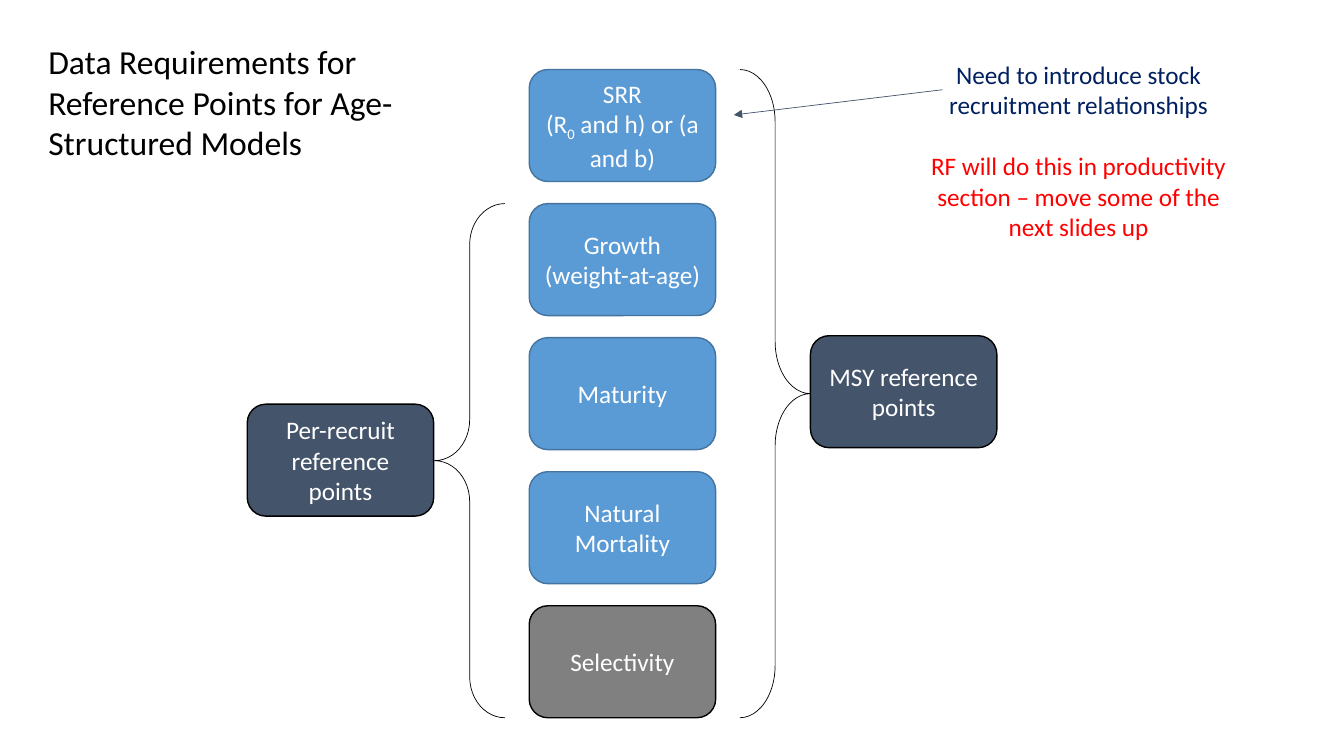
import dataclasses

import lxml.etree
import pptx
import pptx.dml.color
import pptx.enum.shapes
import pptx.enum.text
import pptx.oxml.ns
import pptx.util

Pt = pptx.util.Pt
RGB = pptx.dml.color.RGBColor.from_string
SHAPES = pptx.enum.shapes.MSO_SHAPE
ALIGN = pptx.enum.text.PP_ALIGN
ANCHOR = pptx.enum.text.MSO_ANCHOR
qn = pptx.oxml.ns.qn


@dataclasses.dataclass(frozen=True)
class Theme:
    font: str = "Calibri"
    title_size: int = 24
    body_size: int = 18
    black: str = "000000"
    white: str = "FFFFFF"
    blue: str = "5B9BD5"
    blue_edge: str = "43739E"
    grey: str = "808080"
    slate: str = "44546A"
    navy: str = "002060"
    red: str = "FF0000"


THEME = Theme()
BOX_WIDTH, BOX_HEIGHT = 133.2, 80
STACK_LEFT, STACK_TOP, STACK_PITCH = 378, 49.7, 95.75
BRACE_WIDTH = 50.4


def format_paragraph(paragraph, size, color, align):
    paragraph.alignment = align
    for run in paragraph.runs:
        run.font.name = THEME.font
        run.font.size = Pt(size)
        run.font.color.rgb = RGB(color)


def add_box(slide, left, top, label, fill, edge):
    box = slide.shapes.add_shape(
        SHAPES.ROUNDED_RECTANGLE, Pt(left), Pt(top), Pt(BOX_WIDTH), Pt(BOX_HEIGHT)
    )
    box.shadow.inherit = False
    box.fill.solid()
    box.fill.fore_color.rgb = RGB(fill)
    box.line.color.rgb = RGB(edge)
    box.line.width = Pt(1)
    box.text_frame.word_wrap = True
    box.text_frame.vertical_anchor = ANCHOR.MIDDLE
    box.text_frame.text = label
    for paragraph in box.text_frame.paragraphs:
        format_paragraph(paragraph, THEME.body_size, THEME.white, ALIGN.CENTER)
    return box


def add_subscript_line(box, before, subscript, after):
    paragraph = box.text_frame.add_paragraph()
    for part in (before, subscript, after):
        paragraph.add_run().text = part
    format_paragraph(paragraph, THEME.body_size, THEME.white, ALIGN.CENTER)
    paragraph.runs[1].font._element.set("baseline", "-25000")


def add_brace(slide, kind, left, top, bottom, curve):
    brace = slide.shapes.add_shape(
        kind, Pt(left), Pt(top), Pt(BRACE_WIDTH), Pt(bottom - top)
    )
    brace.shadow.inherit = False
    brace.fill.background()
    brace.line.color.rgb = RGB(THEME.black)
    brace.line.width = Pt(0.5)
    brace.adjustments[0] = curve


def add_text(slide, left, top, width, height, lines, size, align, gap=0):
    frame = slide.shapes.add_textbox(Pt(left), Pt(top), Pt(width), Pt(height)).text_frame
    frame.word_wrap = True
    frame.text = "\n".join(text for text, _ in lines)
    for paragraph, (_, color) in zip(frame.paragraphs, lines):
        format_paragraph(paragraph, size, color, align)
    for paragraph in frame.paragraphs[1:]:
        paragraph.space_before = Pt(gap)


def add_arrow(slide, start, end):
    arrow = slide.shapes.add_connector(
        pptx.enum.shapes.MSO_CONNECTOR.STRAIGHT, *map(Pt, start + end)
    )
    arrow.line.color.rgb = RGB(THEME.slate)
    arrow.line.width = Pt(0.5)
    lxml.etree.SubElement(arrow.line._get_or_add_ln(), qn("a:tailEnd"), type="triangle")
    lxml.etree.SubElement(arrow._element.spPr, qn("a:effectLst"))


def main():
    deck = pptx.Presentation()
    deck.slide_width, deck.slide_height = Pt(960), Pt(540)
    slide = deck.slides.add_slide(deck.slide_layouts[6])

    inputs = [
        ("SRR", THEME.blue, THEME.blue_edge),
        ("Growth\n(weight-at-age)", THEME.blue, THEME.blue_edge),
        ("Maturity", THEME.blue, THEME.blue_edge),
        ("Natural Mortality", THEME.blue, THEME.blue_edge),
        ("Selectivity", THEME.grey, THEME.black),
    ]
    tops = [STACK_TOP + STACK_PITCH * row for row in range(len(inputs))]
    boxes = [
        add_box(slide, STACK_LEFT, top, *entry) for top, entry in zip(tops, inputs)
    ]
    add_subscript_line(boxes[0], "(R", "0", " and h) or (a and b)")

    stack_bottom = tops[-1] + BOX_HEIGHT
    add_brace(slide, SHAPES.LEFT_BRACE, 310.3, tops[1], stack_bottom, 0.58)
    add_brace(slide, SHAPES.RIGHT_BRACE, 528.5, tops[0], stack_bottom, 0.74)
    add_box(slide, 176.6, 288.7, "Per-recruit reference points", THEME.slate, THEME.black)
    add_box(slide, 578.9, 239.8, "MSY reference points", THEME.slate, THEME.black)

    note = [
        ("Need to introduce stock recruitment relationships", THEME.navy),
        (
            "RF will do this in productivity section – move some of the next slides up",
            THEME.red,
        ),
    ]
    add_text(slide, 648.7, 38.9, 243.4, 138.2, note, THEME.body_size, ALIGN.CENTER, 22)
    add_arrow(slide, (673.2, 64.1), (524.2, 82.1))
    title = [
        ("Data Requirements for Reference Points for Age- Structured Models", THEME.black)
    ]
    add_text(slide, 27.4, 25.9, 264.2, 94.3, title, THEME.title_size, ALIGN.LEFT)

    deck.save("out.pptx")


if __name__ == "__main__":
    main()
